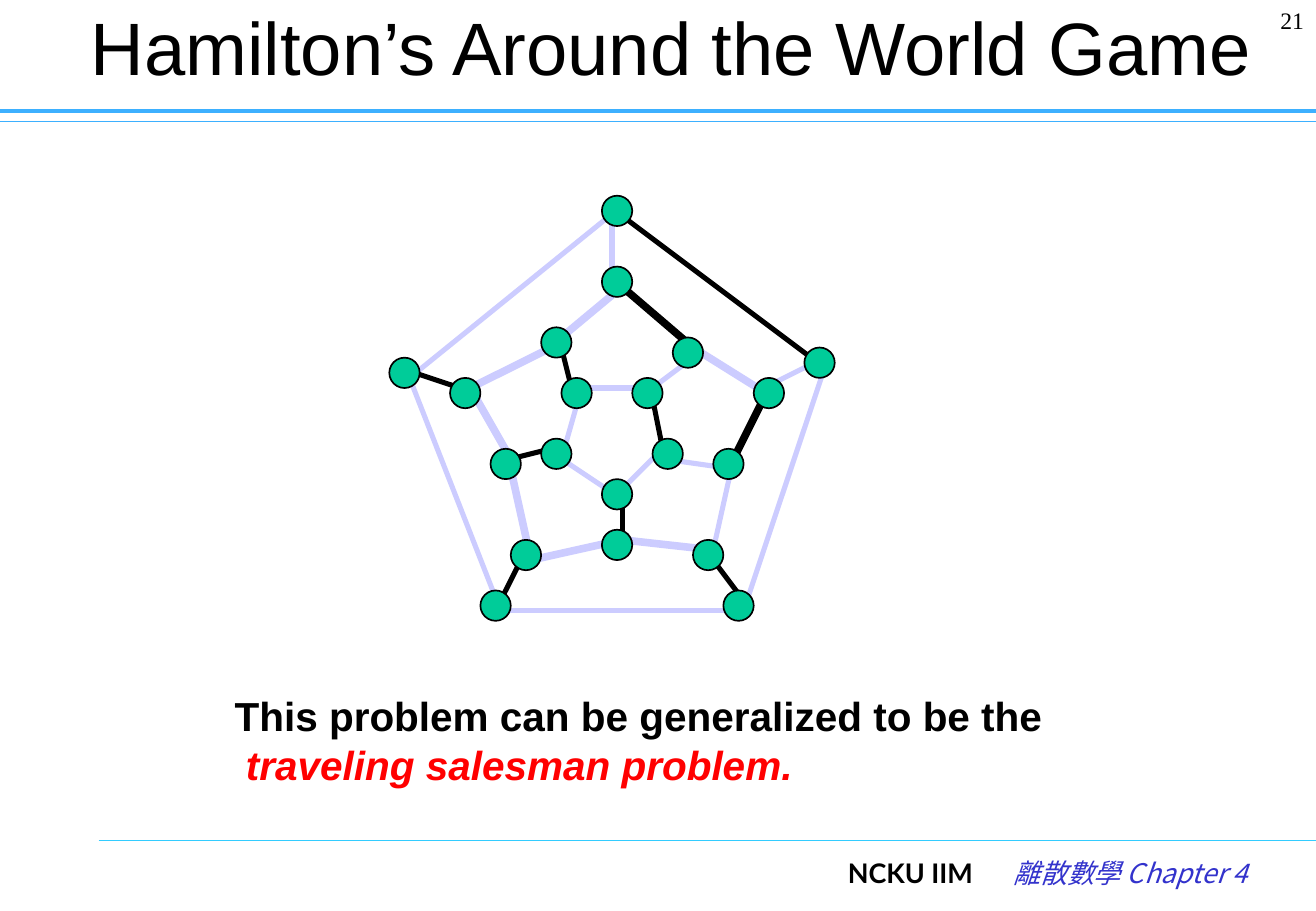
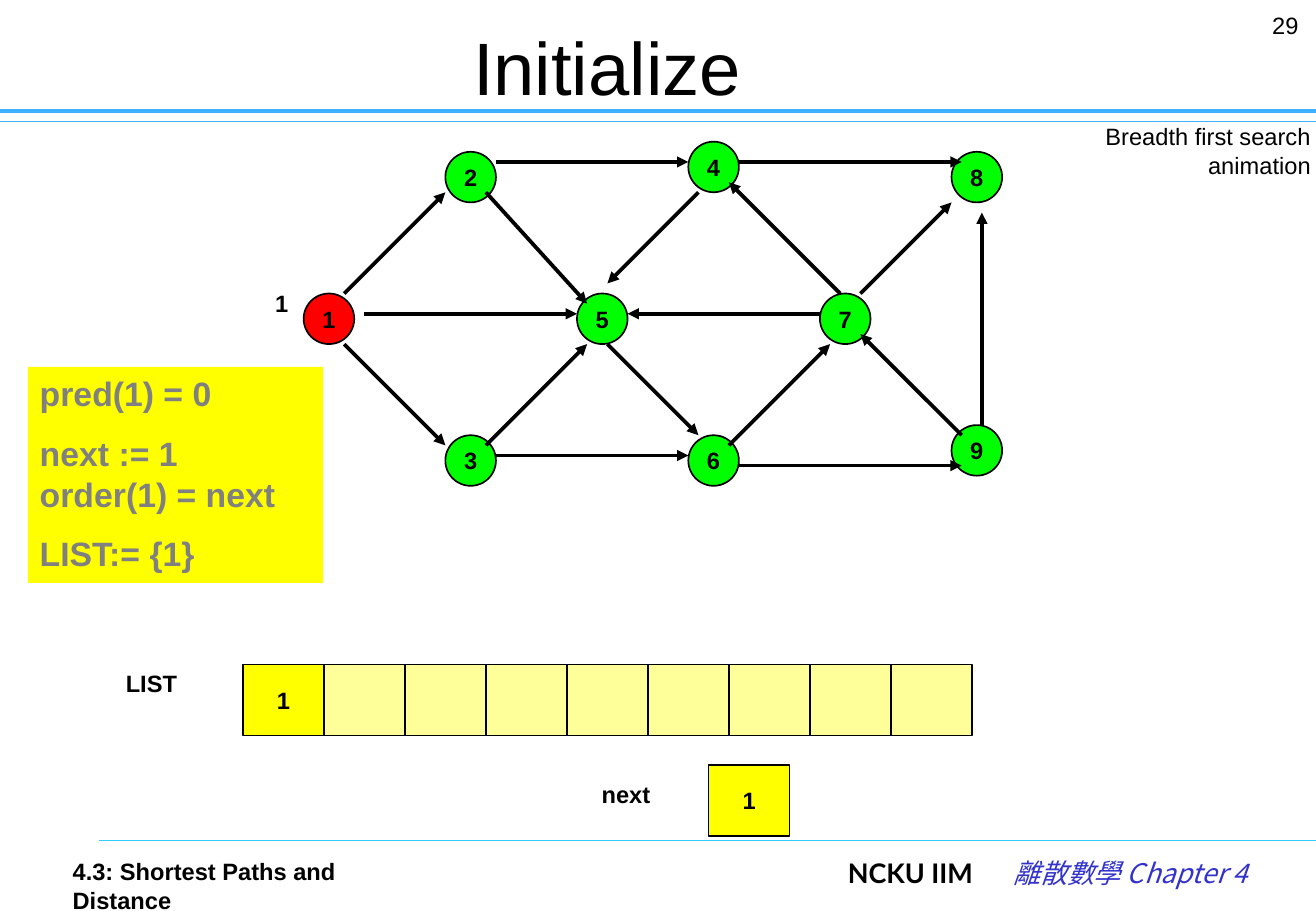
from dataclasses import dataclass

from lxml import etree
from pptx import Presentation
from pptx.dml.color import RGBColor
from pptx.enum.shapes import MSO_CONNECTOR, MSO_SHAPE
from pptx.enum.text import MSO_ANCHOR, MSO_AUTO_SIZE, PP_ALIGN
from pptx.oxml.ns import qn
from pptx.util import Pt

STRAIGHT = MSO_CONNECTOR.STRAIGHT
OVAL, RECT = MSO_SHAPE.OVAL, MSO_SHAPE.RECTANGLE
TOP, MIDDLE = MSO_ANCHOR.TOP, MSO_ANCHOR.MIDDLE
LEFT, CENTER, RIGHT = PP_ALIGN.LEFT, PP_ALIGN.CENTER, PP_ALIGN.RIGHT


@dataclass(frozen=True)
class Theme:
    black: str = "000000"
    red: str = "FF0000"
    grey: str = "808080"
    header_blue: str = "3DB0FF"
    footer_blue: str = "33CCFF"
    chapter_blue: str = "3333CC"
    unused_edge: str = "CCCCFF"
    city: str = "00CC99"
    unvisited: str = "00FF00"
    filled_cell: str = "FFFF00"
    empty_cell: str = "FFFF99"
    font: str = "Arial"
    number_font: str = "Times New Roman"
    school_font: str = "Lato"
    chapter_font: str = "Noto Sans CJK SC"
    title_size: int = 44
    caption_size: int = 24
    code_size: int = 20
    footer_size: int = 16
    label_size: int = 14


THEME = Theme()
GRID = 6


def draw_line(slide, ends, color, width, arrow=False):
    """Draw a straight line through ends (x1, y1, x2, y2), in points."""
    line = slide.shapes.add_connector(STRAIGHT, *(Pt(v) for v in ends))
    line.line.color.rgb = RGBColor.from_string(color)
    line.line.width = Pt(width)
    if arrow:
        etree.SubElement(line.line._get_or_add_ln(), qn("a:tailEnd"), type="triangle")
    etree.SubElement(line.element.spPr, qn("a:effectLst"))


def draw_box(slide, box, paragraphs=(), kind=None, fill=None, outline=True,
             align=LEFT, anchor=TOP, wrap=True, gap=0, **base):
    """Draw a shape, or a text box if kind is None.

    Each paragraph is a list of (text, format) runs; base is the common format.
    """
    place = [Pt(v) for v in box]
    if kind is None:
        shape = slide.shapes.add_textbox(*place)
    else:
        shape = slide.shapes.add_shape(kind, *place)
        shape.shadow.inherit = False
        shape.fill.solid()
        shape.fill.fore_color.rgb = RGBColor.from_string(fill)
        if outline:
            shape.line.color.rgb = RGBColor.from_string(THEME.black)
            shape.line.width = Pt(1)
        else:
            shape.line.fill.background()
    frame = shape.text_frame
    frame.word_wrap = wrap
    frame.vertical_anchor = anchor
    for index, runs in enumerate(paragraphs):
        paragraph = frame.add_paragraph() if index else frame.paragraphs[0]
        paragraph.alignment = align
        if index and gap:
            paragraph.space_before = Pt(gap)
        for text, own in runs:
            if text == "\n":
                paragraph.add_line_break()
                continue
            run = paragraph.add_run()
            run.text = text
            style = {"name": THEME.font, "size": THEME.label_size,
                     "color": THEME.black, **base, **own}
            run.font.color.rgb = RGBColor.from_string(style.pop("color"))
            style["size"] = Pt(style["size"])
            for key, value in style.items():
                setattr(run.font, key, value)
    return shape


deck = Presentation()
deck.slide_width, deck.slide_height = Pt(780), Pt(540)
title_only = deck.slide_layouts[5]

# Titles, header rules and footer
pages = [
    ("Hamilton’s Around the World Game", (36, 0, 724, 54)),
    ("Initialize", (54, 18, 612, 42)),
]
rules = [
    ((0, 72, 780, 72), THEME.header_blue, 0.75),
    ((0, 66, 780, 66), THEME.header_blue, 2.5),
    ((58.5, 498, 780, 498), THEME.footer_blue, 0.75),
]
school = {"name": THEME.school_font, "bold": True}
chapter = {"name": THEME.chapter_font, "color": THEME.chapter_blue, "italic": True}

for heading, box in pages:
    slide = deck.slides.add_slide(title_only)
    title = slide.shapes.title
    title.left, title.top, title.width, title.height = (Pt(v) for v in box)
    title.text_frame.text = heading
    title.text_frame.auto_size = MSO_AUTO_SIZE.NONE
    title.text_frame.vertical_anchor = MIDDLE
    title_line = title.text_frame.paragraphs[0]
    title_line.alignment = CENTER
    title_font = title_line.runs[0].font
    title_font.color.rgb = RGBColor.from_string(THEME.black)
    for key, value in {"name": THEME.font, "size": Pt(THEME.title_size)}.items():
        setattr(title_font, key, value)

    for rule in rules:
        draw_line(slide, *rule)

    footer = draw_box(slide, (495.5, 504, 260, 36),
                      [[("NCKU IIM\t", school), ("離散數學 Chapter 4", chapter)]],
                      size=THEME.footer_size)
    footer_line = footer.text_frame.paragraphs[0]
    tabs = etree.SubElement(footer_line._p.get_or_add_pPr(), qn("a:tabLst"))
    etree.SubElement(tabs, qn("a:tab"), pos=str(Pt(98)), algn="l")
    etree.SubElement(footer_line.runs[1].font._element, qn("a:ea"),
                     typeface=THEME.chapter_font)

game, search = deck.slides

# Around the world: edges and cities in grid steps from the top city
TOP_X, TOP_Y = 368.75, 122
edge_groups = [
    (THEME.unused_edge, 4.5, [
        (0, 8, -6, 13), (-7, 14, -15, 18), (-15, 18, -11, 25), (-11, 26, -9, 35),
        (-9, 35, 0, 33), (0, 33, 9, 34), (15, 19, 7, 14)]),
    (THEME.unused_edge, 3, [
        (9, 34, 11, 25), (-4, 18, 2, 18), (4, 24, 0, 28), (0, 29, -6, 25),
        (-6, 25, -4, 18), (-21, 17, 0, 0), (20, 16, 12, 40), (12, 40, -12, 40),
        (-12, 40, -21, 17), (-1, 0, -1, 7), (20, 15, 14, 18), (3, 18, 7, 15),
        (4, 25, 11, 26)]),
    (THEME.black, 4.5, [(11, 25, 14, 19), (7, 14, 0, 8)]),
    (THEME.black, 3, [
        (3, 19, 4, 24), (0, 1, 20, 16), (-22, 16, -16, 18), (-12, 39, -10, 35),
        (12, 39, 9, 35), (-11, 25, -7, 24), (-6, 14, -5, 18), (0, 29, 0, 33)]),
]
cities = [
    (-23, 15), (-2, -1), (-2, 6), (-8, 12), (-17, 17), (-6, 17), (-8, 23),
    (1, 17), (3, 23), (-2, 27), (-13, 24), (-11, 33), (-2, 32), (7, 33),
    (9, 24), (13, 17), (18, 14), (10, 38), (-14, 38), (5, 13),
]
for color, width, edges in edge_groups:
    for x1, y1, x2, y2 in edges:
        draw_line(game, (TOP_X + GRID * x1, TOP_Y + GRID * y1,
                         TOP_X + GRID * x2, TOP_Y + GRID * y2), color, width)
for x, y in cities:
    draw_box(game, (TOP_X + GRID * x, TOP_Y + GRID * y, 18, 18),
             kind=OVAL, fill=THEME.city)

draw_box(game, (715, 0, 65, 36), [[("21", {})]], align=RIGHT, name=THEME.number_font)
draw_box(game, (132, 406, 516, 65.5), [[
    ("This problem can be generalized to be the", {}),
    ("\n", {}),
    (" traveling salesman problem.", {"color": THEME.red, "italic": True}),
]], size=THEME.caption_size, bold=True)

# Breadth first search: graph in grid steps from the slide corner
vertices = {
    "1": (30, 29), "2": (44, 15), "3": (44, 43), "4": (68, 14), "5": (57, 29),
    "6": (68, 43), "7": (81, 29), "8": (94, 15), "9": (94, 42),
}
arcs = [
    (34, 29, 44, 19), (36, 31, 57, 31), (34, 34, 44, 44), (49, 16, 68, 16),
    (48, 19, 58, 30), (48, 44, 58, 34), (49, 45, 68, 45), (73, 16, 95, 16),
    (69, 19, 60, 28), (60, 34, 69, 43), (72, 44, 82, 34), (73, 46, 95, 46),
    (83, 29, 72, 18), (81, 31, 62, 31), (85, 29, 94, 20), (95, 43, 85, 33),
    (97, 42, 97, 21),
]
for vertex, (x, y) in vertices.items():
    draw_box(search, (GRID * x, GRID * y, 30, 30), [[(vertex, {})]], kind=OVAL,
             fill=THEME.red if vertex == "1" else THEME.unvisited,
             align=CENTER, anchor=MIDDLE, wrap=False, bold=True)
for arc in arcs:
    draw_line(search, [GRID * v for v in arc], THEME.black, 2.25, arrow=True)

# State of the algorithm
draw_box(search, (16.5, 217.5, 175, 128), [
    [("pred(1) = 0", {})],
    [("next := 1", {}), ("\n", {}), ("order(1) = next", {})],
    [("LIST:= {1}", {})],
], kind=RECT, fill=THEME.filled_cell, outline=False, gap=11.5,
    size=THEME.code_size, color=THEME.grey, bold=True)

CELL_W, CELL_H = 48, 42
cells = [(144 + CELL_W * i, 394, "" if i else "1") for i in range(9)]
cells.append((420, 453.5, "1"))
for x, y, value in cells:
    draw_box(search, (x, y, CELL_W, CELL_H), [[(value, {})]] if value else (),
             kind=RECT, fill=THEME.filled_cell if value else THEME.empty_cell,
             align=CENTER, anchor=MIDDLE, wrap=False, bold=True)

labels = [
    ("LIST", (67.5, 393, 46, 24.5), LEFT, True),
    ("next", (349.5, 459, 46, 24.5), LEFT, True),
    ("1", (156, 168, 24, 24.5), LEFT, True),
    ("4.3: Shortest Paths and Distance", (36, 504.5, 232, 24), LEFT, True),
    ("Breadth first search animation", (600, 69, 184, 36), RIGHT, False),
    ("29", (747, 3, 33, 30), LEFT, False),
]
for text, box, align, bold in labels:
    draw_box(search, box, [[(text, {})]], align=align, bold=bold)

deck.save("out.pptx")
